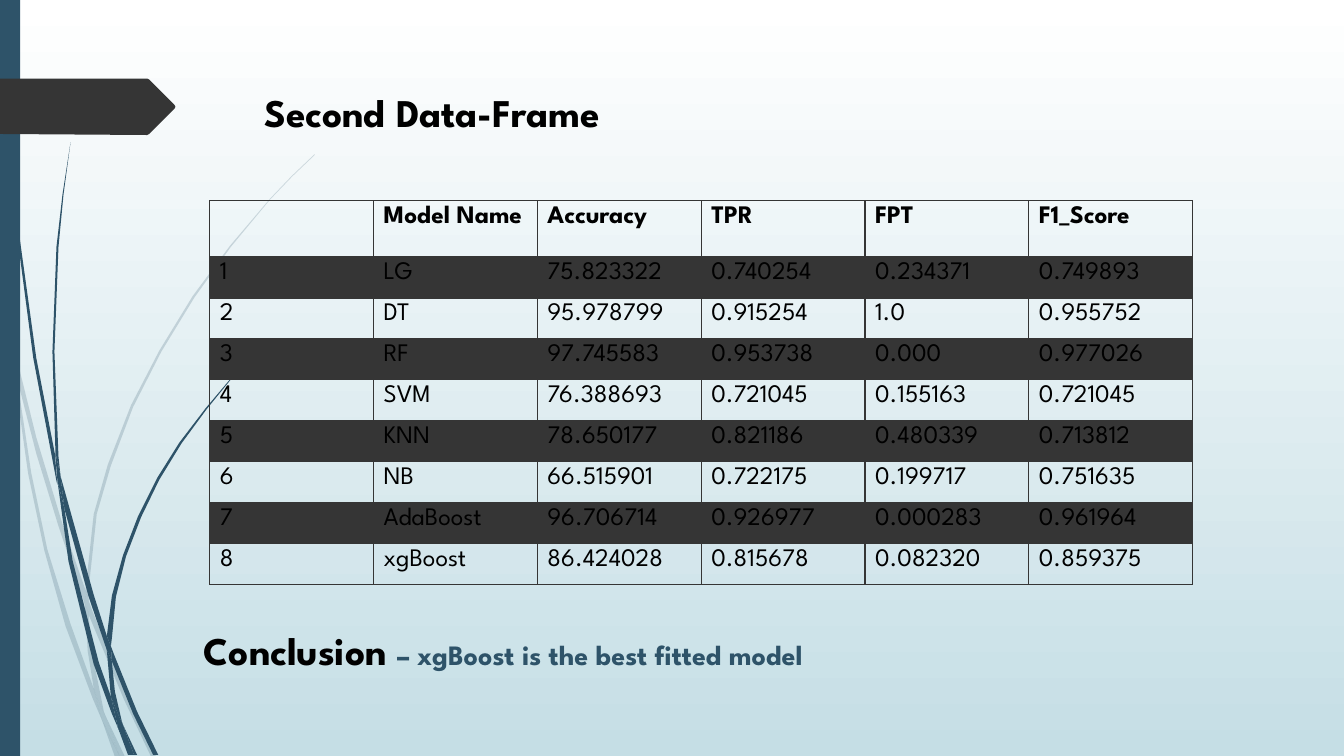
from dataclasses import dataclass

from lxml import etree
from pptx import Presentation
from pptx import util as u
from pptx.dml.color import RGBColor
from pptx.enum import shapes, text
from pptx.oxml import ns

PX = 9144  # EMU per px, 100 px to the inch


@dataclass(frozen=True)
class Theme:
    font: str = "League Spartan"
    blue: str = "2E5369"
    dark: str = "353535"
    black: str = "000000"
    sky_top: str = "FFFFFF"
    sky_bottom: str = "C5DEE5"
    faint: int = 20  # percent opacity
    heading: int = 28
    remark: int = 20
    body: int = 18


THEME = Theme()

HEADER = ["", "Model Name", "Accuracy", "TPR", "FPT", "F1_Score"]
MODELS = [
    ["LG", "75.823322", "0.740254", "0.234371", "0.749893"],
    ["DT", "95.978799", "0.915254", "1.0", "0.955752"],
    ["RF", "97.745583", "0.953738", "0.000", "0.977026"],
    ["SVM", "76.388693", "0.721045", "0.155163", "0.721045"],
    ["KNN", "78.650177", "0.821186", "0.480339", "0.713812"],
    ["NB", "66.515901", "0.722175", "0.199717", "0.751635"],
    ["AdaBoost", "96.706714", "0.926977", "0.000283", "0.961964"],
    ["xgBoost", "86.424028", "0.815678", "0.082320", "0.859375"],
]

# Outlines of the grass blades, in px
PALE_BLADES = [
    [(11, 350), (9, 322), (0, 282), (0, 299), (10, 344)],
    [(58, 522), (84, 599), (85, 586), (62, 520), (36, 434), (14, 345), (17, 376), (36, 450)],
    [(92, 607), (88, 596), (88, 610), (123, 694), (150, 751), (155, 751), (127, 692)],
    [(119, 751), (124, 751), (105, 711)],
    [(93, 683), (70, 619), (47, 545), (31, 469), (17, 376), (11, 350), (28, 470),
     (44, 546), (65, 621), (92, 693), (101, 714), (99, 707)],
    [(84, 599), (87, 646), (93, 683), (96, 692), (105, 711), (103, 706), (91, 646),
     (88, 610), (88, 608)],
    [(88, 584), (96, 510), (110, 462), (132, 404), (160, 349), (193, 295), (229, 245),
     (268, 198), (290, 175), (312, 154), (312, 153), (289, 175), (268, 197), (228, 244),
     (191, 294), (158, 348), (130, 402), (107, 461), (93, 510), (85, 584), (85, 586),
     (88, 596)],
    [(101, 714), (114, 751), (119, 751)],
    [(88, 608), (88, 610), (88, 596), (85, 586), (84, 599)],
    [(96, 692), (93, 683), (99, 707), (101, 714), (119, 751), (105, 711)],
]
BLUE_BLADES = [
    [(7, 110), (17, 233), (33, 355), (56, 477), (57, 481), (55, 457), (55, 453), (36, 355),
     (19, 232), (8, 109), (5, 48), (4, 0), (3, 0), (4, 48)],
    [(88, 592), (106, 645), (106, 631), (93, 590), (60, 472), (64, 505)],
    [(113, 649), (110, 641), (111, 656), (132, 708), (152, 749), (157, 749), (136, 706)],
    [(110, 691), (98, 657), (72, 556), (64, 505), (57, 477), (68, 557), (93, 659),
     (111, 708), (117, 722), (116, 717)],
    [(60, 472), (58, 453), (54, 349), (58, 245), (63, 193), (70, 141), (62, 193), (56, 245),
     (52, 349), (55, 449)],
    [(133, 749), (136, 749), (122, 719)],
    [(57, 477), (64, 505), (60, 472), (55, 449), (55, 453)],
    [(111, 633), (115, 592), (125, 552), (140, 513), (158, 476), (180, 440), (205, 406),
     (231, 374), (245, 359), (261, 344), (260, 344), (245, 358), (231, 373), (204, 405),
     (178, 439), (156, 474), (137, 512), (122, 551), (111, 591), (106, 631), (110, 641)],
    [(117, 722), (127, 749), (131, 749)],
    [(106, 645), (110, 691), (116, 706), (122, 719), (121, 716), (114, 686), (111, 656),
     (109, 651)],
    [(106, 645), (109, 651), (111, 656), (110, 641), (106, 631)],
    [(116, 706), (110, 691), (116, 717), (117, 722), (130, 749), (133, 749), (122, 719)],
]
ARROW_TAG = [(0, 78), (146, 78), (148, 79), (173, 104), (174, 106), (173, 108), (148, 133),
             (146, 134), (0, 133)]


def px(*lengths):
    return [u.Emu(length * PX) for length in lengths]


def set_fill(fill, colour, opacity=100):
    fill.solid()
    fill.fore_color.rgb = RGBColor.from_string(colour)
    if opacity < 100:
        colour_element = fill._xPr.find(".//" + ns.qn("a:srgbClr"))
        etree.SubElement(colour_element, ns.qn("a:alpha"), val=str(opacity * 1000))


def set_font(font, size, colour, bold=True):
    font.name = THEME.font
    font.size = u.Pt(size)
    font.bold = bold
    font.color.rgb = RGBColor.from_string(colour)


def finish_shape(shape, colour, opacity=100):
    set_fill(shape.fill, colour, opacity)
    shape.line.fill.background()
    shape.shadow.inherit = False


def add_outline(slide, points, colour, opacity=100):
    builder = slide.shapes.build_freeform(*points[0], scale=PX)
    builder.add_line_segments(points[1:], close=True)
    finish_shape(builder.convert_to_shape(), colour, opacity)


def set_borders(cell, bottom_width):
    properties = cell._tc.get_or_add_tcPr()
    for side, width in (("L", 1), ("R", 1), ("T", 1), ("B", bottom_width)):
        line = etree.SubElement(properties, ns.qn(f"a:ln{side}"), w=str(u.Pt(width)))
        solid = etree.SubElement(line, ns.qn("a:solidFill"))
        etree.SubElement(solid, ns.qn("a:srgbClr"), val=THEME.dark)


def add_score_table(slide, left, top, width, header_height, body_height):
    rows = [HEADER] + [[str(number), *scores] for number, scores in enumerate(MODELS, 1)]
    frame = slide.shapes.add_table(
        len(rows), len(HEADER), *px(left, top, width, header_height + body_height))
    table = frame.table
    table.first_row = table.horz_banding = False
    for column in table.columns:
        column.width = u.Emu(width * PX // len(HEADER))
    for i, values in enumerate(rows):
        is_header = i == 0
        table.rows[i].height = u.Emu(
            header_height * PX if is_header else body_height * PX // len(MODELS))
        for j, value in enumerate(values):
            cell = table.cell(i, j)
            set_borders(cell, 2 if is_header else 1)
            if i % 2:
                set_fill(cell.fill, THEME.dark, THEME.faint)
            else:
                cell.fill.background()
            cell.text = value
            set_font(cell.text_frame.paragraphs[0].font, THEME.body, THEME.black, is_header)


def add_title(slide, wording, left, top, width, height):
    title = slide.shapes.title
    title.left, title.top, title.width, title.height = px(left, top, width, height)
    frame = title.text_frame
    frame.text = wording
    frame.word_wrap = True
    frame.vertical_anchor = text.MSO_ANCHOR.TOP
    frame.auto_size = text.MSO_AUTO_SIZE.SHAPE_TO_FIT_TEXT
    paragraph = frame.paragraphs[0]
    paragraph.alignment = text.PP_ALIGN.LEFT
    set_font(paragraph.font, THEME.heading, THEME.black)


def add_conclusion(slide, left, top, width, height):
    frame = slide.shapes.add_textbox(*px(left, top, width, height)).text_frame
    frame.word_wrap = True
    frame.auto_size = text.MSO_AUTO_SIZE.SHAPE_TO_FIT_TEXT
    frame.margin_left = px(30)[0]
    paragraph = frame.paragraphs[0]
    for wording, size, colour in (
        ("Conclusion ", THEME.heading, THEME.black),
        ("– xgBoost is the best fitted model", THEME.remark, THEME.blue),
    ):
        run = paragraph.add_run()
        run.text = wording
        set_font(run.font, size, colour)


def add_background(slide):
    fill = slide.background.fill
    fill.gradient()
    fill.gradient_angle = 270
    for stop, colour in zip(fill.gradient_stops, (THEME.sky_top, THEME.sky_bottom)):
        stop.color.rgb = RGBColor.from_string(colour)


def main():
    presentation = Presentation()
    presentation.slide_width, presentation.slide_height = px(1333, 750)
    slide = presentation.slides.add_slide(presentation.slide_layouts[5])

    # Backdrop: sky, grass blades, side bar and arrow tag
    add_background(slide)
    for points in PALE_BLADES:
        add_outline(slide, points, THEME.blue, THEME.faint)
    for points in BLUE_BLADES:
        add_outline(slide, points, THEME.blue)
    side_bar = slide.shapes.add_shape(shapes.MSO_SHAPE.RECTANGLE, *px(0, 0, 20, 750))
    finish_shape(side_bar, THEME.blue)
    add_outline(slide, ARROW_TAG, THEME.dark)

    # Content
    add_title(slide, "Second Data-Frame", 252, 83, 444, 57)
    add_score_table(slide, 208, 199, 975, 56, 325)
    add_conclusion(slide, 172, 616, 826, 57)

    presentation.save("out.pptx")


if __name__ == "__main__":
    main()
